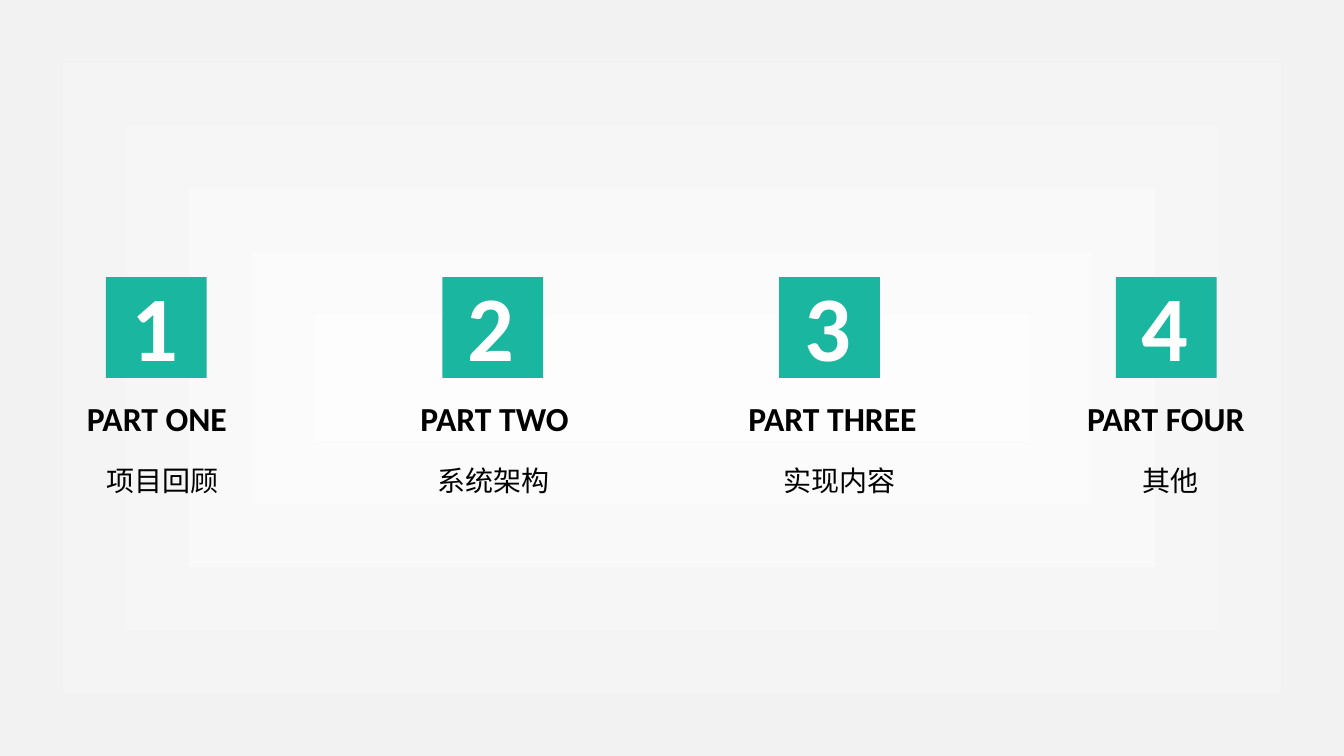
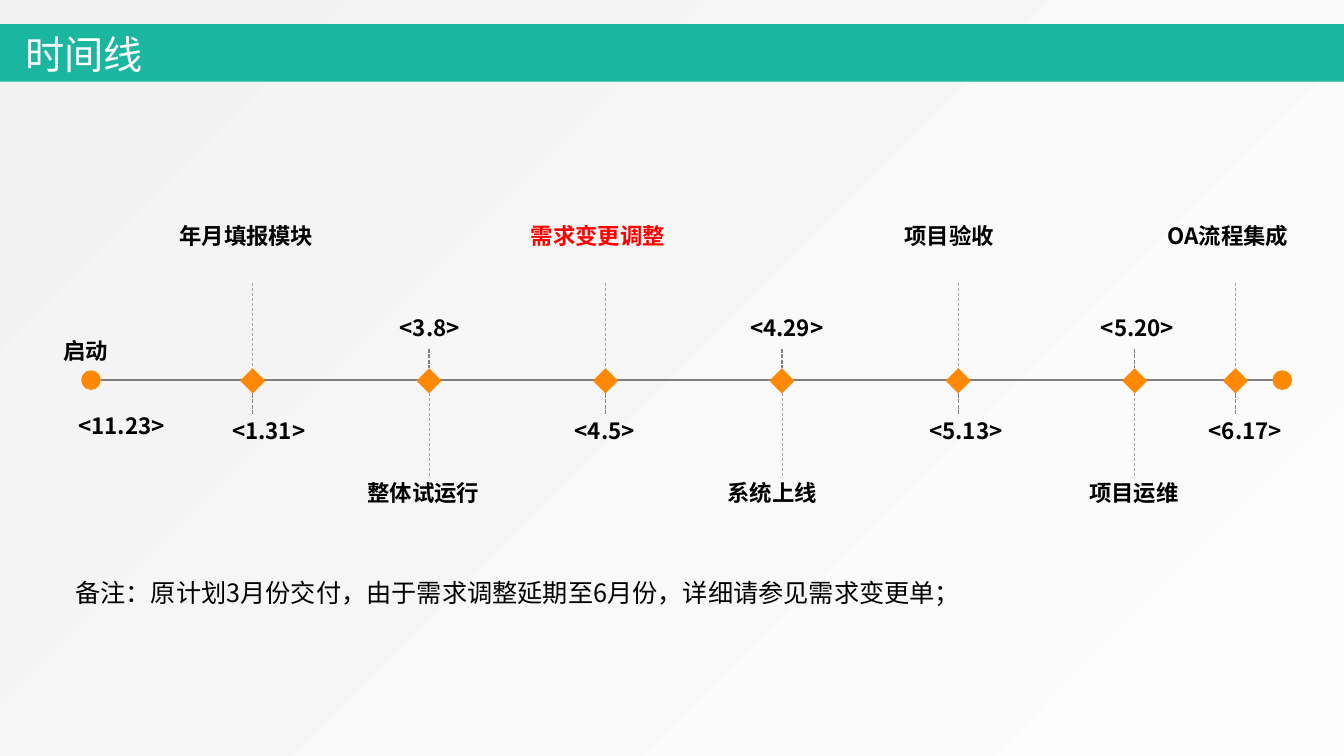
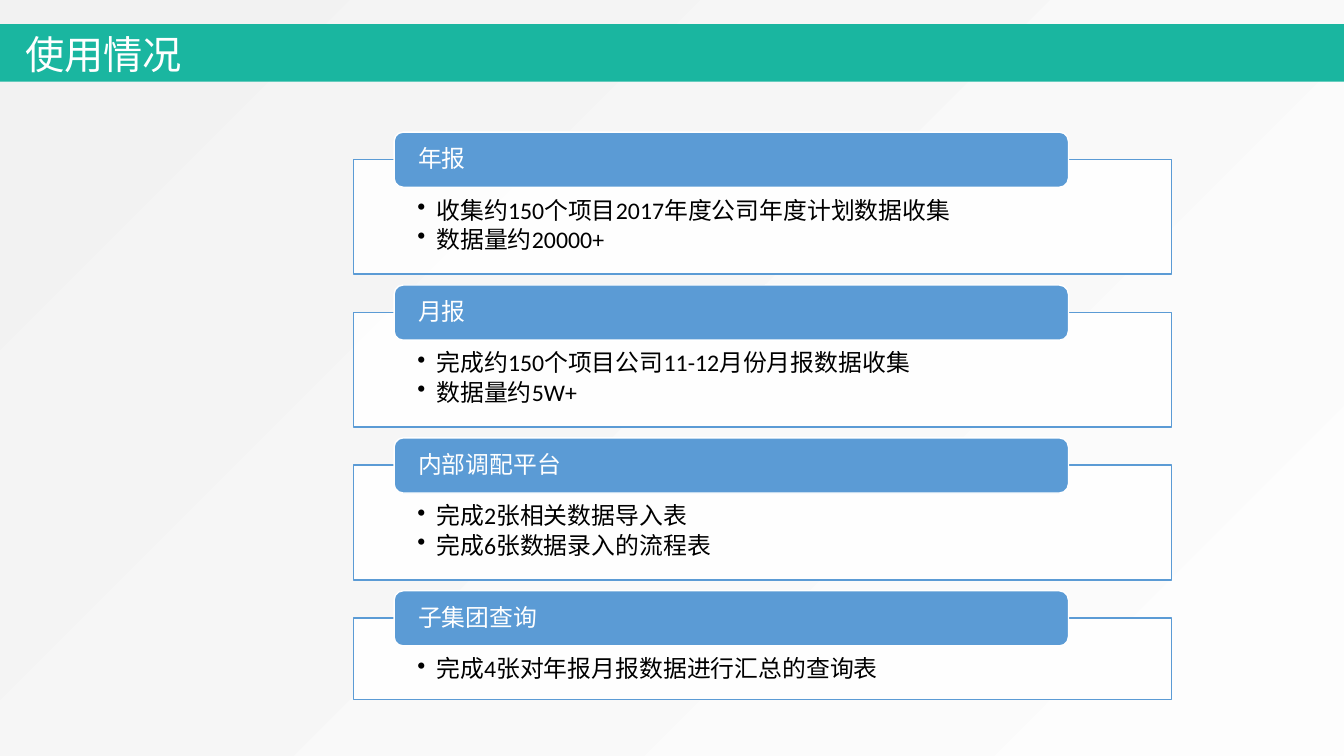
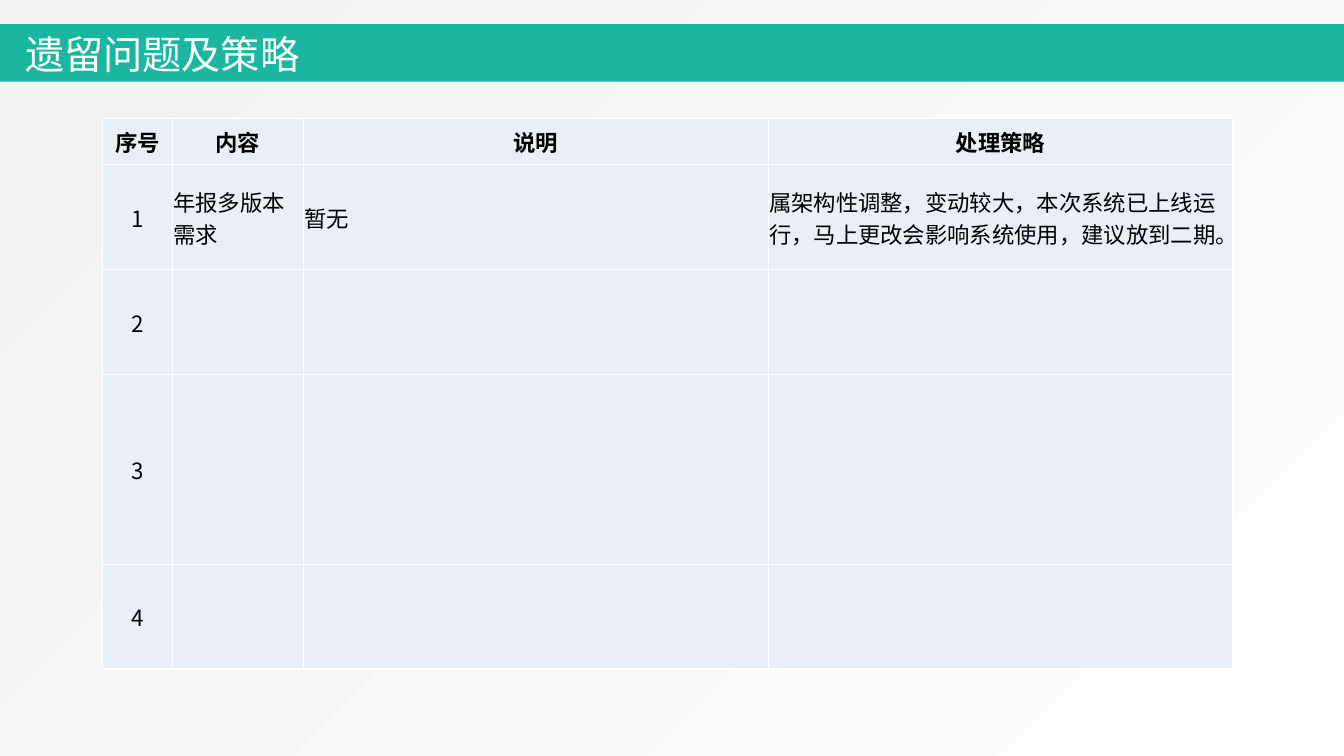
"""Builds a four-slide project review deck."""
from dataclasses import dataclass

from lxml import etree
from pptx import Presentation
from pptx.dml.color import RGBColor
from pptx.enum.dml import MSO_LINE
from pptx.enum.shapes import MSO_CONNECTOR, MSO_SHAPE
from pptx.enum.text import MSO_ANCHOR, PP_ALIGN
from pptx.oxml.ns import qn
from pptx.util import Pt

LEFT, CENTER = PP_ALIGN.LEFT, PP_ALIGN.CENTER
MIDDLE, TOP = MSO_ANCHOR.MIDDLE, MSO_ANCHOR.TOP
RECT, ROUND = MSO_SHAPE.RECTANGLE, MSO_SHAPE.ROUNDED_RECTANGLE
DIAMOND, OVAL = MSO_SHAPE.DIAMOND, MSO_SHAPE.OVAL
STRAIGHT = MSO_CONNECTOR.STRAIGHT
DASH, SHORT_DASH = MSO_LINE.DASH, MSO_LINE.SQUARE_DOT
TITLE_ONLY, BLANK = 5, 6


@dataclass(frozen=True)
class Theme:
    """Colours, fonts and type sizes of the deck."""
    teal: str = "1AB6A0"
    orange: str = "FF8805"
    blue: str = "5B9BD5"
    red: str = "FF0000"
    black: str = "000000"
    white: str = "FFFFFF"
    axis: str = "808080"
    leader: str = "A6A6A6"
    cell: str = "EAEFF7"
    glow: str = "FDFDFD"
    edge: str = "F2F2F2"
    latin: str = "Calibri"
    cjk: str = "Noto Sans CJK SC"
    numeral: int = 66
    title: int = 28
    section: int = 24
    subtitle: int = 20
    note: int = 18
    card: int = 17
    label: int = 16


T = Theme()

SECTIONS = [
    ("PART ONE", "项目回顾", 112, 116.3),
    ("PART TWO", "系统架构", 353.2, 352.8),
    ("PART THREE", "实现内容", 594.7, 599.8),
    ("PART FOUR", "其他", 832.7, 836),
]
MILESTONES = [
    (180.5, "<1.31>", 192, "年月填报模块", 176, T.black),
    (306.5, "<3.8>", 307, "整体试运行", 302.4, T.black),
    (432.5, "<4.5>", 432, "需求变更调整", 427, T.red),
    (558.5, "<4.29>", 562, "系统上线", 551.5, T.black),
    (684.5, "<5.13>", 690, "项目验收", 678, T.black),
    (810.5, "<5.20>", 812.5, "项目运维", 810, T.black),
    (882.5, "<6.17>", 889.5, "OA流程集成", 877, T.black),
]
CARDS = [
    ("年报", ["收集约150个项目2017年度公司年度计划数据收集", "数据量约20000+"]),
    ("月报", ["完成约150个项目公司11-12月份月报数据收集", "数据量约5W+"]),
    ("内部调配平台", ["完成2张相关数据导入表", "完成6张数据录入的流程表"]),
    ("子集团查询", ["完成4张对年报月报数据进行汇总的查询表"]),
]
ISSUES = [
    ["序号", "内容", "说明", "处理策略"],
    ["1", "年报多版本需求", "暂无",
     "属架构性调整，变动较大，本次系统已上线运行，马上更改会影响系统使用，建议放到二期。"],
    ["2", "", "", ""],
    ["3", "", "", ""],
    ["4", "", "", ""],
]


def rgb(color):
    """Turn a hex string into a colour."""
    return RGBColor.from_string(color)


def format_text(tf, size, color=T.black, font=T.cjk, bold=False, align=LEFT, anchor=MIDDLE):
    """Format every paragraph and run of a text frame."""
    tf.word_wrap = True
    tf.vertical_anchor = anchor
    for p in tf.paragraphs:
        p.alignment = align
        for r in p.runs:
            r.font.size = Pt(size)
            r.font.bold = bold
            r.font.color.rgb = rgb(color)
            r.font.name = font
            ea = etree.SubElement(r.font._element, qn("a:ea"))
            ea.set("typeface", font)


def add_text(s, text, x, y, w, h, size, **style):
    """Add a formatted text box."""
    tf = s.shapes.add_textbox(Pt(x), Pt(y), Pt(w), Pt(h)).text_frame
    tf.text = text
    format_text(tf, size, **style)


def add_centered(s, text, center, y, w, h, size, **style):
    """Add a text box centred on a horizontal position."""
    add_text(s, text, center - w / 2, y, w, h, size, align=CENTER, **style)


def add_box(s, kind, x, y, w, h, fill, line=None, alpha=None):
    """Add a preset shape without shadow."""
    sp = s.shapes.add_shape(kind, Pt(x), Pt(y), Pt(w), Pt(h))
    sp.shadow.inherit = False
    sp.fill.solid()
    sp.fill.fore_color.rgb = rgb(fill)
    if alpha:
        tint = sp._element.spPr.find(".//" + qn("a:srgbClr"))
        etree.SubElement(tint, qn("a:alpha")).set("val", str(alpha * 1000))
    if line:
        sp.line.color.rgb = rgb(line)
        sp.line.width = Pt(1)
    else:
        sp.line.fill.background()
    return sp


def add_line(s, x1, y1, x2, y2, color, width, dash=None):
    """Add a straight connector without shadow."""
    cx = s.shapes.add_connector(STRAIGHT, Pt(x1), Pt(y1), Pt(x2), Pt(y2))
    cx.line.color.rgb = rgb(color)
    cx.line.width = Pt(width)
    if dash:
        cx.line.dash_style = dash
    etree.SubElement(cx._element.spPr, qn("a:effectLst"))


def set_backdrop(layout, shape, left, top, right, bottom):
    """Give a layout a gradient that spreads from a focus rectangle."""
    fill = layout.background.fill
    fill.gradient()
    for stop, color in zip(fill.gradient_stops, (T.glow, T.edge)):
        stop.color.rgb = rgb(color)
    grad = layout._element.find(".//" + qn("a:gradFill"))
    grad.remove(grad.find(qn("a:lin")))
    spread = etree.SubElement(grad, qn("a:path"), {"path": shape})
    focus = etree.SubElement(spread, qn("a:fillToRect"))
    for side, share in zip("ltrb", (left, top, right, bottom)):
        focus.set(side, str(share * 1000))


def add_titled_slide(prs, title):
    """Add a slide with its title on the teal band."""
    s = prs.slides.add_slide(prs.slide_layouts[TITLE_ONLY])
    sp = s.shapes.title
    sp.left, sp.top, sp.width, sp.height = Pt(10.8), Pt(18), Pt(281), Pt(41)
    sp.text_frame.text = title
    format_text(sp.text_frame, T.title, color=T.white)
    band = add_box(s, RECT, 0, 17.3, 960, 41, T.teal)
    sp._element.addprevious(band._element)
    return s


def add_milestone(s, x, date, date_x, label, label_x, color, above):
    """Add a marker with its label on one side and its date on the other."""
    if above:
        label_y, far, date_y, near = 154.8, (202, 263), 294.5, (281, 296)
    else:
        label_y, far, date_y, near = 338.4, (281, 341), 221, (249, 263)
    add_line(s, x, far[0], x, far[1], T.leader, 0.5, DASH)
    add_line(s, x, near[0], x, near[1], T.axis, 1, SHORT_DASH)
    add_box(s, DIAMOND, x - 9, 263, 18, 18, T.orange)
    add_centered(s, date, date_x, date_y, 90, 26.6, T.label, bold=True)
    add_centered(s, label, label_x, label_y, 120, 26.6, T.label, bold=True, color=color)


def add_card(s, y, heading, points):
    """Add a bulleted panel with a heading tab over its top edge."""
    height = 82 if len(points) > 1 else 58.5
    panel = add_box(s, RECT, 252.7, y, 584, height, T.white, T.blue, alpha=90)
    tf = panel.text_frame
    tf.text = "\n".join(points)
    tf.margin_left = tf.margin_right = Pt(45.4)
    tf.margin_top, tf.margin_bottom = Pt(28), Pt(9.4)
    format_text(tf, T.card, font=T.latin, anchor=TOP)
    for p in tf.paragraphs:
        p.line_spacing = 0.9
        p.space_after = Pt(2.5)
        pPr = p._p.get_or_add_pPr()
        pPr.set("marL", str(Pt(13.7)))
        pPr.set("indent", str(-Pt(13.7)))
        etree.SubElement(pPr, qn("a:buChar")).set("char", "•")
    tab = add_box(s, ROUND, 281.5, y - 19.4, 481.7, 39.4, T.blue, T.white)
    tf = tab.text_frame
    tf.text = heading
    tf.margin_left = tf.margin_right = Pt(15.2)
    tf.margin_top = tf.margin_bottom = 0
    format_text(tf, T.card, color=T.white, font=T.latin)
    tf.paragraphs[0].line_spacing = 0.9


def format_cell(cell, text, bold, align):
    """Fill a table cell and draw its white borders."""
    cell.margin_left = cell.margin_right = cell.margin_top = Pt(0.7)
    cell.margin_bottom = 0
    cell.vertical_anchor = MIDDLE
    cell.text = text
    format_text(cell.text_frame, T.label, bold=bold, align=align)
    tcPr = cell._tc.get_or_add_tcPr()
    for side in ("lnL", "lnR", "lnT", "lnB"):
        ln = etree.SubElement(tcPr, qn("a:" + side), {"w": str(Pt(1))})
        solid = etree.SubElement(ln, qn("a:solidFill"))
        etree.SubElement(solid, qn("a:srgbClr")).set("val", T.white)
    cell.fill.solid()
    cell.fill.fore_color.rgb = rgb(T.cell)


def add_table(s, rows, x, y, widths, heights):
    """Add a table with a bold header and a centred first column."""
    frame = s.shapes.add_table(len(rows), len(widths), Pt(x), Pt(y),
                               Pt(sum(widths)), Pt(sum(heights)))
    table = frame.table
    table.first_row = table.horz_banding = False
    for column, width in zip(table.columns, widths):
        column.width = Pt(width)
    for i, (texts, height) in enumerate(zip(rows, heights)):
        table.rows[i].height = Pt(height)
        for j, text in enumerate(texts):
            align = CENTER if i == 0 or j == 0 else LEFT
            format_cell(table.cell(i, j), text, i == 0, align)


def build_contents(prs):
    """Build the contents slide."""
    s = prs.slides.add_slide(prs.slide_layouts[BLANK])
    for i, (section, subtitle, section_x, subtitle_x) in enumerate(SECTIONS):
        x = 75.6 + 240.5 * i
        add_box(s, RECT, x, 198, 72, 72, T.teal)
        add_text(s, str(i + 1), x + 11, 188, 57, 87, T.numeral,
                 color=T.white, font=T.latin, bold=True)
        add_centered(s, section, section_x, 280.8, 176, 36, T.section,
                     font=T.latin, bold=True)
        add_centered(s, subtitle, subtitle_x, 327, 186, 31.7, T.subtitle)


def build_timeline(prs):
    """Build the timeline slide."""
    s = add_titled_slide(prs, "时间线")
    add_line(s, 72, 271.4, 909.4, 271.4, T.axis, 1)
    for x in (58.5, 909.4):
        add_box(s, OVAL, x, 265, 13, 13, T.orange, T.orange)
    add_centered(s, "启动", 61.4, 237, 60, 26.6, T.label, bold=True)
    add_centered(s, "<11.23>", 86.8, 291, 114, 26.6, T.label, bold=True)
    for i, milestone in enumerate(MILESTONES):
        add_milestone(s, *milestone, above=i % 2 == 0)
    add_text(s, "备注：原计划3月份交付，由于需求调整延期至6月份，详细请参见需求变更单；",
             46.8, 409, 700, 28.8, T.note)


def build_usage(prs):
    """Build the usage slide."""
    s = add_titled_slide(prs, "使用情况")
    for i, (heading, points) in enumerate(CARDS):
        add_card(s, 113.8 + 109.2 * i, heading, points)


def build_issues(prs):
    """Build the open issues slide."""
    s = add_titled_slide(prs, "遗留问题及策略")
    add_table(s, ISSUES, 73.4, 84.5, (49.7, 93.6, 332, 332), (33, 75, 75, 135.5, 75))


def main():
    """Build and save the deck."""
    prs = Presentation()
    prs.slide_width, prs.slide_height = Pt(960), Pt(540)
    set_backdrop(prs.slide_layouts[BLANK], "shape", 50, 50, 50, 50)
    set_backdrop(prs.slide_layouts[TITLE_ONLY], "circle", 100, 100, 0, 0)
    build_contents(prs)
    build_timeline(prs)
    build_usage(prs)
    build_issues(prs)
    prs.save("out.pptx")


if __name__ == "__main__":
    main()
